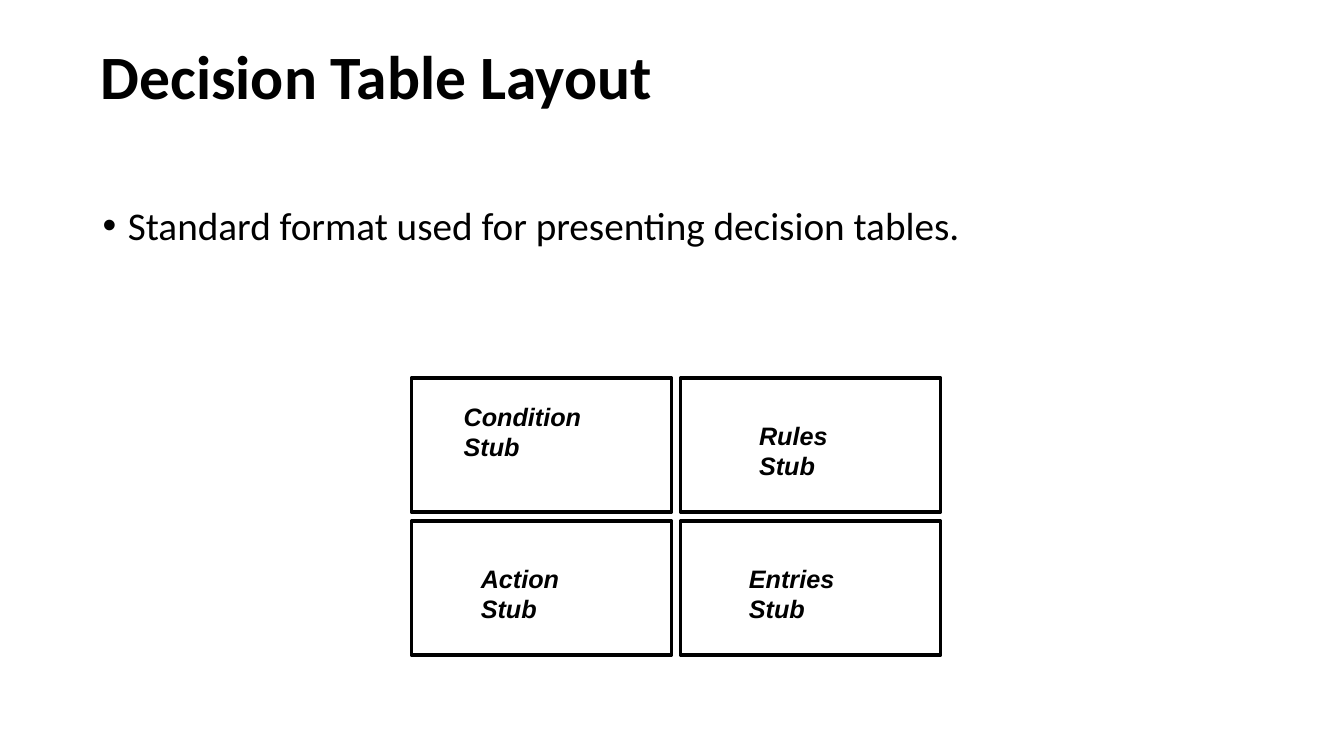
from lxml import etree
from pptx import Presentation, util as u
from pptx.dml.color import RGBColor
from pptx.enum import shapes, text
from pptx.oxml.ns import qn

TITLE = "Decision Table Layout"
BULLET = "Standard format used for presenting decision tables."
# Label lines, row, column, and label box (left, top, width) in inches
QUADRANTS = [
    (("Condition", "Stub"), 0, 0, (4.5, 3.92, 1.38)),
    (("Rules", "Stub"), 0, 1, (7.43, 4.11, 0.89)),
    (("Action", "Stub"), 1, 0, (4.67, 5.53, 0.99)),
    (("Entries", "Stub"), 1, 1, (7.33, 5.53, 1.06)),
]
COLORS = {"ink": "000000"}
INK = RGBColor.from_string(COLORS["ink"])
TITLE_FONT = {"name": "Calibri", "size": u.Pt(44), "bold": True}
BODY_FONT = {"name": "Calibri", "size": u.Pt(28)}
LABEL_FONT = {"name": "Arial", "size": u.Pt(18), "bold": True, "italic": True}

GRID_LEFT, GRID_TOP = 4.08, 3.75
CELL_WIDTH, CELL_HEIGHT = 2.58, 1.33
GAP = 0.09
LABEL_HEIGHT = 0.71


def add_text(slide, box, lines, font, anchor, wrap=True):
    frame = slide.shapes.add_textbox(*map(u.Inches, box)).text_frame
    frame.word_wrap = wrap
    frame.vertical_anchor = anchor
    for number, line in enumerate(lines):
        paragraph = frame.add_paragraph() if number else frame.paragraphs[0]
        run = paragraph.add_run()
        run.text = line
        run.font.color.rgb = INK
        for attribute, value in font.items():
            setattr(run.font, attribute, value)
    return frame


def add_bullet(paragraph):
    properties = paragraph._p.get_or_add_pPr()
    properties.set("marL", str(u.Inches(0.25)))
    properties.set("indent", str(u.Inches(-0.25)))
    etree.SubElement(properties, qn("a:buFont"), typeface="Arial")
    etree.SubElement(properties, qn("a:buChar"), char="•")


def add_quadrant(slide, row, column):
    left = GRID_LEFT + column * (CELL_WIDTH + GAP)
    top = GRID_TOP + row * (CELL_HEIGHT + GAP)
    box = map(u.Inches, (left, top, CELL_WIDTH, CELL_HEIGHT))
    quadrant = slide.shapes.add_shape(shapes.MSO_SHAPE.RECTANGLE, *box)
    quadrant.shadow.inherit = False
    quadrant.fill.background()
    quadrant.line.color.rgb = INK
    quadrant.line.width = u.Pt(2.5)


def main():
    deck = Presentation()
    deck.slide_width, deck.slide_height = u.Inches(13.33), u.Inches(7.5)
    slide = deck.slides.add_slide(deck.slide_layouts[6])

    title = add_text(slide, (0.9, 0.58, 8.52, 0.42), [TITLE], TITLE_FONT,
                     text.MSO_ANCHOR.MIDDLE)
    title.paragraphs[0].line_spacing = 0.9

    body = add_text(slide, (0.92, 2, 11.5, 4.76), [BULLET], BODY_FONT,
                    text.MSO_ANCHOR.TOP)
    statement = body.paragraphs[0]
    statement.line_spacing = 0.9
    statement.space_before = u.Pt(10)
    add_bullet(statement)

    for lines, row, column, label_box in QUADRANTS:
        add_quadrant(slide, row, column)
        label = add_text(slide, (*label_box, LABEL_HEIGHT), lines, LABEL_FONT,
                         text.MSO_ANCHOR.BOTTOM, wrap=False)
        label.auto_size = text.MSO_AUTO_SIZE.SHAPE_TO_FIT_TEXT

    deck.save("out.pptx")


if __name__ == "__main__":
    main()
